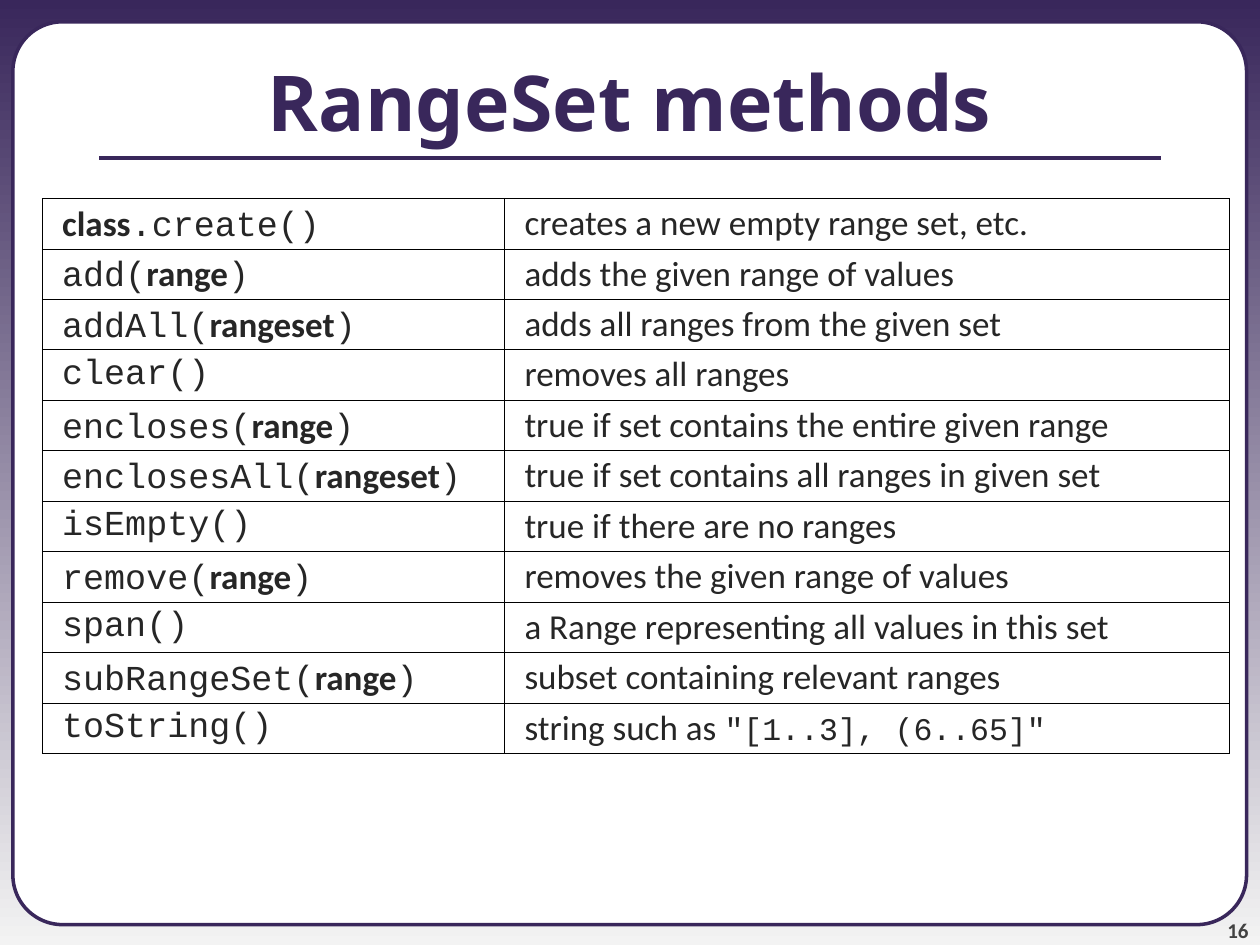
from lxml import etree
from pptx import Presentation
from pptx import util as u
from pptx.dml.color import RGBColor
from pptx.enum import shapes, text
from pptx.oxml.ns import qn

PURPLE = RGBColor(0x39, 0x27, 0x5B)
PALE = RGBColor(0xF3, 0xF3, 0xF3)
WHITE = RGBColor(0xFF, 0xFF, 0xFF)
GREY = RGBColor(0x42, 0x42, 0x42)
INK = RGBColor(0x26, 0x26, 0x26)
BLACK = RGBColor(0, 0, 0)

PLAIN = dict(face="Calibri")
CODE = dict(face="Courier New")
NAME = dict(face="Calibri", bold=True)
SAMPLE = dict(face="Courier New", size=18)

TITLE = "RangeSet methods"
PAGE = "16"
# Each method: code before the name in bold, that name, code after it, description
METHODS = [
    ("", "class", ".create()", "creates a new empty range set, etc."),
    ("add(", "range", ")", "adds the given range of values"),
    ("addAll(", "rangeset", ")", "adds all ranges from the given set"),
    ("clear()", "", "", "removes all ranges"),
    ("encloses(", "range", ")", "true if set contains the entire given range"),
    ("enclosesAll(", "rangeset", ")", "true if set contains all ranges in given set"),
    ("isEmpty()", "", "", "true if there are no ranges"),
    ("remove(", "range", ")", "removes the given range of values"),
    ("span()", "", "", "a Range representing all values in this set"),
    ("subRangeSet(", "range", ")", "subset containing relevant ranges"),
    ("toString()", "", "", "string such as "),
]
EXAMPLE = '"[1..3], (6..65]"'
COLUMN_WIDTHS = (9.32, 14.61)
ROW_HEIGHT = 1.01


def add_run(paragraph, words, face="Calibri", size=20, color=INK, bold=False):
    run = paragraph.add_run()
    run.text = words
    run.font.name = face
    run.font.size = u.Pt(size)
    run.font.bold = bold
    run.font.color.rgb = color


def add_label(slide, words, box, align, anchor, margins=(0, 0), **style):
    """Add a one-line text box; box is left, top, width, height in cm."""
    frame = slide.shapes.add_textbox(*map(u.Cm, box)).text_frame
    frame.word_wrap = True
    frame.vertical_anchor = anchor
    frame.margin_left = frame.margin_right = u.Cm(margins[0])
    frame.margin_top = frame.margin_bottom = u.Cm(margins[1])
    paragraph = frame.paragraphs[0]
    paragraph.alignment = align
    add_run(paragraph, words, **style)


def set_borders(cell, color, points):
    properties = cell._tc.get_or_add_tcPr()
    for side in ("lnL", "lnR", "lnT", "lnB"):
        line = etree.SubElement(properties, qn(f"a:{side}"), w=str(u.Pt(points)))
        fill = etree.SubElement(line, qn("a:solidFill"))
        etree.SubElement(fill, qn("a:srgbClr"), val=str(color))


def fill_cell(cell, runs):
    set_borders(cell, BLACK, 0.45)
    cell.fill.background()
    paragraph = cell.text_frame.paragraphs[0]
    paragraph.line_spacing = 0.9
    paragraph._p.get_or_add_pPr().set("marL", str(u.Cm(0.15)))
    for words, style in runs:
        if words:
            add_run(paragraph, words, **style)


def add_backdrop(slide):
    fill = slide.background.fill
    fill.gradient()
    fill.gradient_angle = 270
    for stop, color in zip(fill.gradient_stops, (PURPLE, PALE)):
        stop.color.rgb = color

    panel = slide.shapes.add_shape(
        shapes.MSO_SHAPE.ROUNDED_RECTANGLE,
        u.Cm(0.26), u.Cm(0.44), u.Cm(24.87), u.Cm(18.2))
    panel.adjustments[0] = 0.055
    panel.shadow.inherit = False
    panel.fill.solid()
    panel.fill.fore_color.rgb = WHITE
    panel.line.color.rgb = PURPLE
    panel.line.width = u.Pt(2)

    rule = slide.shapes.add_connector(
        shapes.MSO_CONNECTOR.STRAIGHT,
        u.Cm(2), u.Cm(3.18), u.Cm(23.4), u.Cm(3.18))
    rule.line.color.rgb = PURPLE
    rule.line.width = u.Pt(2.25)
    etree.SubElement(rule._element.spPr, qn("a:effectLst"))


def add_methods(slide):
    table = slide.shapes.add_table(
        len(METHODS), len(COLUMN_WIDTHS), u.Cm(0.85), u.Cm(4),
        u.Cm(sum(COLUMN_WIDTHS)), u.Cm(ROW_HEIGHT * len(METHODS))).table
    table.first_row = table.horz_banding = False
    for column, width in zip(table.columns, COLUMN_WIDTHS):
        column.width = u.Cm(width)
    for i, (before, name, after, description) in enumerate(METHODS):
        table.rows[i].height = u.Cm(ROW_HEIGHT)
        example = EXAMPLE if before == "toString()" else ""
        fill_cell(table.cell(i, 0), [(before, CODE), (name, NAME), (after, CODE)])
        fill_cell(table.cell(i, 1), [(description, PLAIN), (example, SAMPLE)])


def main():
    deck = Presentation()
    deck.slide_width, deck.slide_height = u.Cm(25.4), u.Cm(19.05)
    slide = deck.slides.add_slide(deck.slide_layouts[6])
    add_backdrop(slide)
    add_label(slide, PAGE, (23.06, 17.98, 2.11, 1.02),
              text.PP_ALIGN.RIGHT, text.MSO_ANCHOR.BOTTOM,
              size=12, color=GREY, bold=True)
    add_label(slide, TITLE, (0, 0.44, 25.4, 3.18),
              text.PP_ALIGN.CENTER, text.MSO_ANCHOR.MIDDLE, margins=(0.25, 0.13),
              face="Noto Sans", size=44, color=PURPLE, bold=True)
    add_methods(slide)
    deck.save("out.pptx")


if __name__ == "__main__":
    main()
